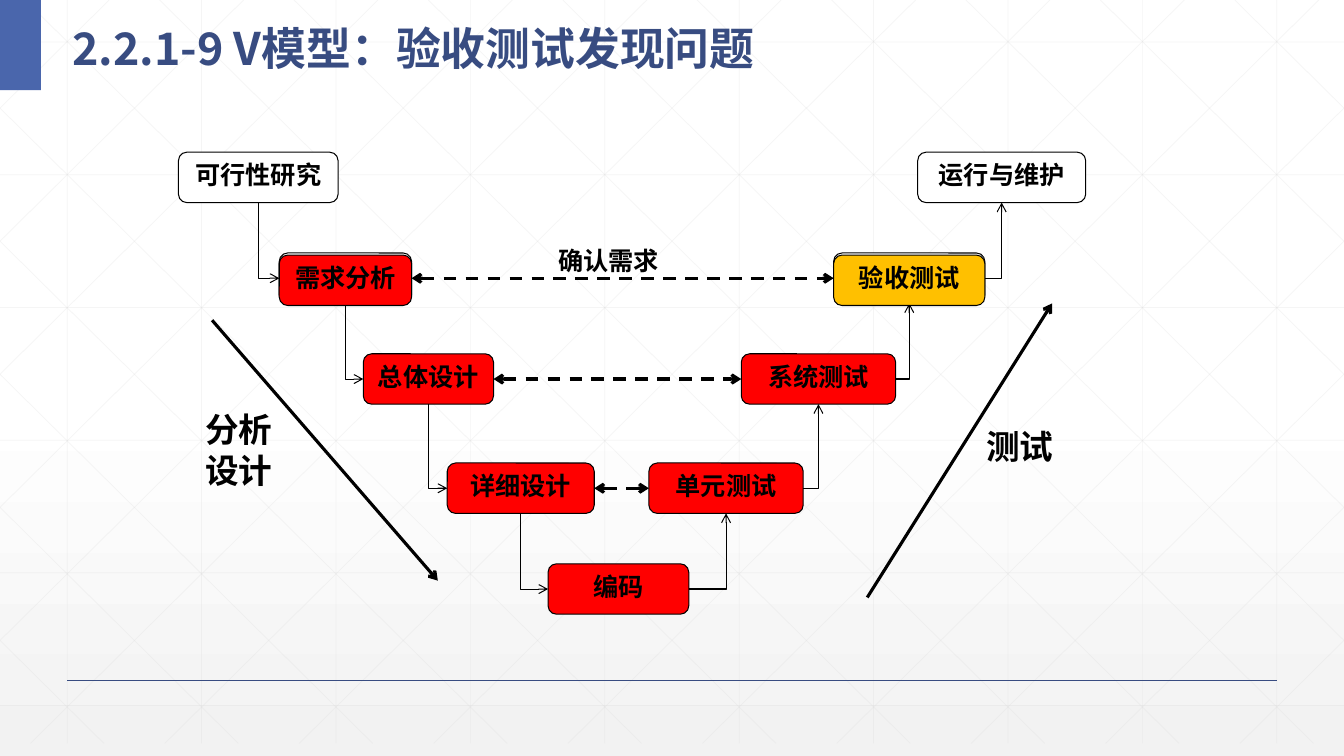
from dataclasses import dataclass

from lxml.etree import SubElement
from pptx import Presentation
from pptx.dml.color import RGBColor
from pptx.enum.dml import MSO_LINE
from pptx.enum.shapes import MSO_CONNECTOR as CONN, MSO_SHAPE as SHAPE
from pptx.enum.text import MSO_ANCHOR as ANCHOR, MSO_AUTO_SIZE, PP_ALIGN as ALIGN
from pptx.oxml.ns import qn
from pptx.util import Pt

PX = 9525
WIDTH, HEIGHT = 1280, 720
TOP, LEFT, BOTTOM, RIGHT = range(4)


@dataclass(frozen=True)
class Theme:
    navy: str = "384C81"
    blue: str = "4A66AC"
    grid: str = "D9D9D9"
    black: str = "000000"
    white: str = "FFFFFF"
    shade: str = "F2F2F2"
    red: str = "FF0000"
    amber: str = "FFC000"
    latin: str = "Times New Roman"
    cjk: str = "Noto Sans CJK SC"
    title_size: int = 32
    side_size: int = 24
    box_size: int = 18
    thin: float = 0.75
    thick: float = 2.25


@dataclass(frozen=True)
class Phase:
    text: str
    x: int
    y: int
    w: int
    fill: str
    h: int = 48


@dataclass(frozen=True)
class Label:
    lines: tuple[str, ...]
    x: int
    y: int
    w: int
    h: int
    size: int


T = Theme()
PHASES = {
    "study": Phase("可行性研究", 170, 145, 152, T.white),
    "needs": Phase("需求分析", 266, 241, 126, T.white),
    "accept": Phase("验收测试", 794, 241, 144, T.white),
    "operate": Phase("运行与维护", 874, 145, 160, T.white),
    "overall": Phase("总体设计", 346, 337, 124, T.red),
    "system": Phase("系统测试", 706, 337, 147, T.red),
    "detail": Phase("详细设计", 426, 441, 140, T.red),
    "code": Phase("编码", 522, 537, 134, T.red),
    "unit": Phase("单元测试", 618, 441, 147, T.red),
}
HIGHLIGHTS = {"accept": T.amber, "needs": T.red}
DESCENT = ("study", "needs", "overall", "detail", "code")
ASCENT = ("code", "unit", "system", "accept", "operate")
CHECKS = (("detail", "unit"), ("overall", "system"), ("needs", "accept"))
SIDE_ARROWS = ((202, 305, 417, 553), (826, 569, 1002, 289))
LABELS = (
    Label(("分析", "设计"), 186, 385, 120, 104, T.side_size),
    Label(("测试",), 930, 401, 96, 64, T.side_size),
    Label(("确认需求",), 522, 229, 128, 36, T.box_size),
)


def rgb(value: str) -> RGBColor:
    return RGBColor.from_string(value)


def add_run(p, text: str, size: int, color: str, latin: str) -> None:
    r = p.add_run()
    r.text = text
    r.font.size, r.font.bold, r.font.name = Pt(size), True, latin
    r.font.color.rgb = rgb(color)
    SubElement(r.font._element, qn("a:ea")).set("typeface", T.cjk)


def add_line(slide, x1: float, y1: float, x2: float, y2: float, color: str,
             width: float, kind=CONN.STRAIGHT):
    c = slide.shapes.add_connector(kind, *(round(v * PX) for v in (x1, y1, x2, y2)))
    c.line.color.rgb = rgb(color)
    c.line.width = Pt(width)
    SubElement(c._element.spPr, qn("a:effectLst"))
    return c


def add_arrowheads(c, *ends: str) -> None:
    ln = c._element.spPr.find(qn("a:ln"))
    for end in ends:
        SubElement(ln, qn(f"a:{end}")).set("type", "arrow")


def add_grid(slide) -> None:
    """Faint lattice of upright, level and mirrored diagonal lines."""
    bottom, run = 708, 715
    lines = [(x, 0, x, bottom) for x in range(64, WIDTH, 128)]
    lines += [(0, y, WIDTH, y) for y in (40 + 126.4 * i for i in range(6))]
    slope = bottom / run
    for x in range(24 - 5 * 128, WIDTH, 128):
        x1, x2 = max(x, 0), min(x + run, WIDTH)
        y1, y2 = (x1 - x) * slope, (x2 - x) * slope
        lines += [(x1, y1, x2, y2), (WIDTH - x1, y1, WIDTH - x2, y2)]
    for ends in lines:
        c = add_line(slide, *ends, T.grid, 0.5)
        color = next(c._element.spPr.iter(qn("a:srgbClr")))
        SubElement(color, qn("a:alpha")).set("val", "25000")


def add_box(slide, kind, x: int, y: int, w: int, h: int, fill: str):
    sp = slide.shapes.add_shape(kind, x * PX, y * PX, w * PX, h * PX)
    sp.shadow.inherit = False
    sp.fill.solid()
    sp.fill.fore_color.rgb = rgb(fill)
    sp.line.fill.background()
    return sp


def add_phase(slide, phase: Phase, fill: str, drop: int = 0):
    sp = add_box(slide, SHAPE.ROUNDED_RECTANGLE, phase.x, phase.y + drop,
                 phase.w, phase.h, fill)
    sp.line.color.rgb = rgb(T.black)
    sp.line.width = Pt(T.thin)
    tf = sp.text_frame
    tf.word_wrap, tf.vertical_anchor = True, ANCHOR.TOP
    p = tf.paragraphs[0]
    p.alignment = ALIGN.CENTER
    add_run(p, phase.text, T.box_size, T.black, T.latin)
    return sp


def join(slide, start, start_side: int, end, end_side: int, width: float, kind):
    c = add_line(slide, 0, 0, 0, 0, T.black, width, kind)
    c.begin_connect(start, start_side)
    c.end_connect(end, end_side)
    return c


def add_step(slide, start, end, down: bool) -> None:
    """Single-bend arrow: down then right, or right then up."""
    sides = (BOTTOM, LEFT) if down else (RIGHT, BOTTOM)
    c = join(slide, start, sides[0], end, sides[1], T.thin, CONN.ELBOW)
    c._element.spPr.find(qn("a:prstGeom")).set("prst", "bentConnector2")
    if down:
        w, h = c.width, c.height
        c.left, c.top = c.left + (w - h) // 2, c.top + (h - w) // 2
        c.width, c.height = h, w
        xfrm = c._element.spPr.find(qn("a:xfrm"))
        xfrm.set("rot", "16200000")
        xfrm.set("flipH", "1")
    add_arrowheads(c, "tailEnd")


def add_label(slide, label: Label) -> None:
    sp = slide.shapes.add_textbox(label.x * PX, label.y * PX, label.w * PX, label.h * PX)
    tf = sp.text_frame
    tf.word_wrap = True
    for i, line in enumerate(label.lines):
        p = tf.add_paragraph() if i else tf.paragraphs[0]
        add_run(p, line, label.size, T.black, T.latin)


def set_background(slide) -> None:
    fill = slide.background.fill
    fill.gradient()
    fill.gradient_angle = 270
    for stop, position, color in zip(fill.gradient_stops, (0.53, 1), (T.white, T.shade)):
        stop.position, stop.color.rgb = position, rgb(color)


def set_title(slide, text: str) -> None:
    sp = slide.shapes.title
    sp.left, sp.top, sp.width, sp.height = (v * PX for v in (59, 3, 827, 70))
    tf = sp.text_frame
    tf.auto_size, tf.vertical_anchor = MSO_AUTO_SIZE.NONE, ANCHOR.MIDDLE
    p = tf.paragraphs[0]
    p.alignment, p.line_spacing = ALIGN.LEFT, 1.3
    add_run(p, text, T.title_size, T.navy, T.cjk)
    slide.shapes._spTree.append(sp._element)


def main() -> None:
    prs = Presentation()
    prs.slide_width, prs.slide_height = WIDTH * PX, HEIGHT * PX
    slide = prs.slides.add_slide(prs.slide_layouts[5])
    set_background(slide)
    add_grid(slide)
    add_line(slide, 64, 648, 1216, 648, T.navy, 1)
    add_box(slide, SHAPE.RECTANGLE, 0, 0, 39, 86, T.blue)
    set_title(slide, "2.2.1-9 V模型：验收测试发现问题")

    boxes = {key: add_phase(slide, phase, phase.fill) for key, phase in PHASES.items()}
    for arm, down in ((DESCENT, True), (ASCENT, False)):
        for start, end in zip(arm, arm[1:]):
            add_step(slide, boxes[start], boxes[end], down)
    for start, end in CHECKS:
        c = join(slide, boxes[start], RIGHT, boxes[end], LEFT, T.thick, CONN.STRAIGHT)
        c.line.dash_style = MSO_LINE.DASH
        add_arrowheads(c, "headEnd", "tailEnd")
    for ends in SIDE_ARROWS:
        add_arrowheads(add_line(slide, *ends, T.black, T.thick), "tailEnd")
    for key, fill in HIGHLIGHTS.items():
        add_phase(slide, PHASES[key], fill, drop=2)
    for label in LABELS:
        add_label(slide, label)
    prs.save("out.pptx")


if __name__ == "__main__":
    main()
